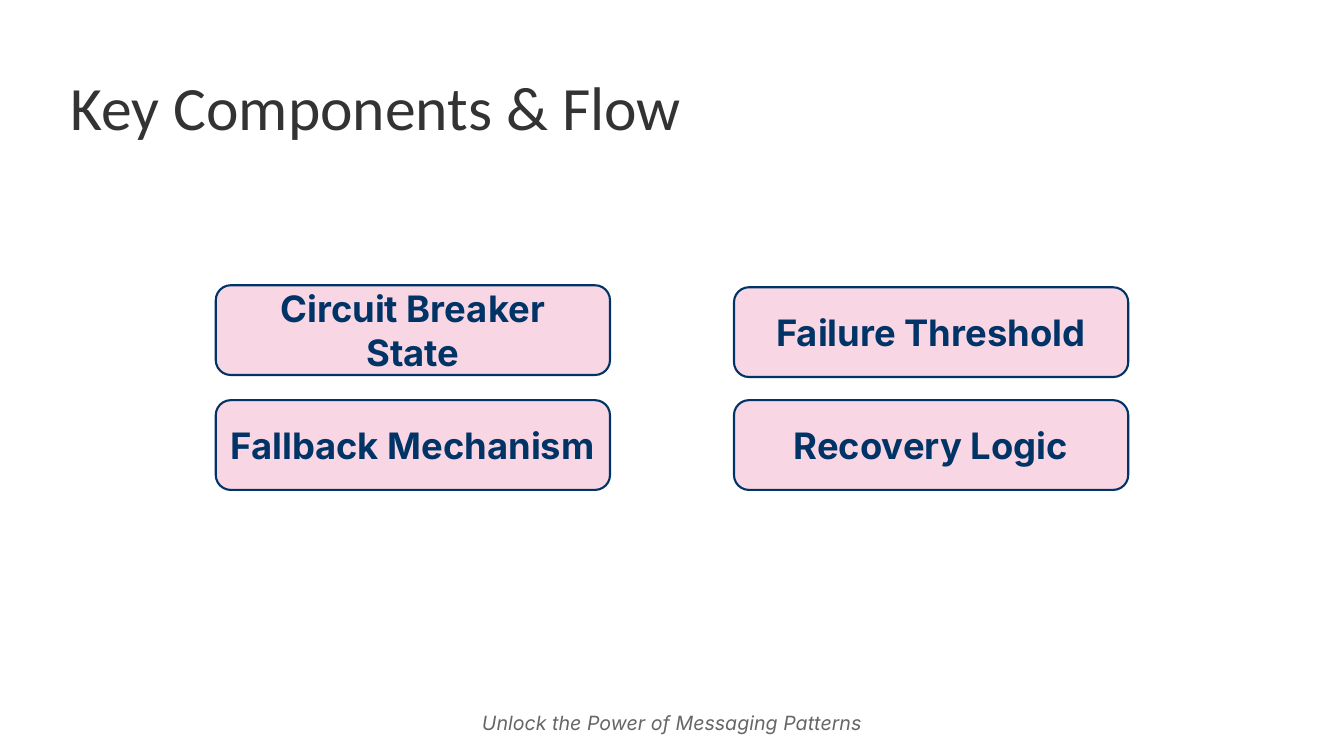
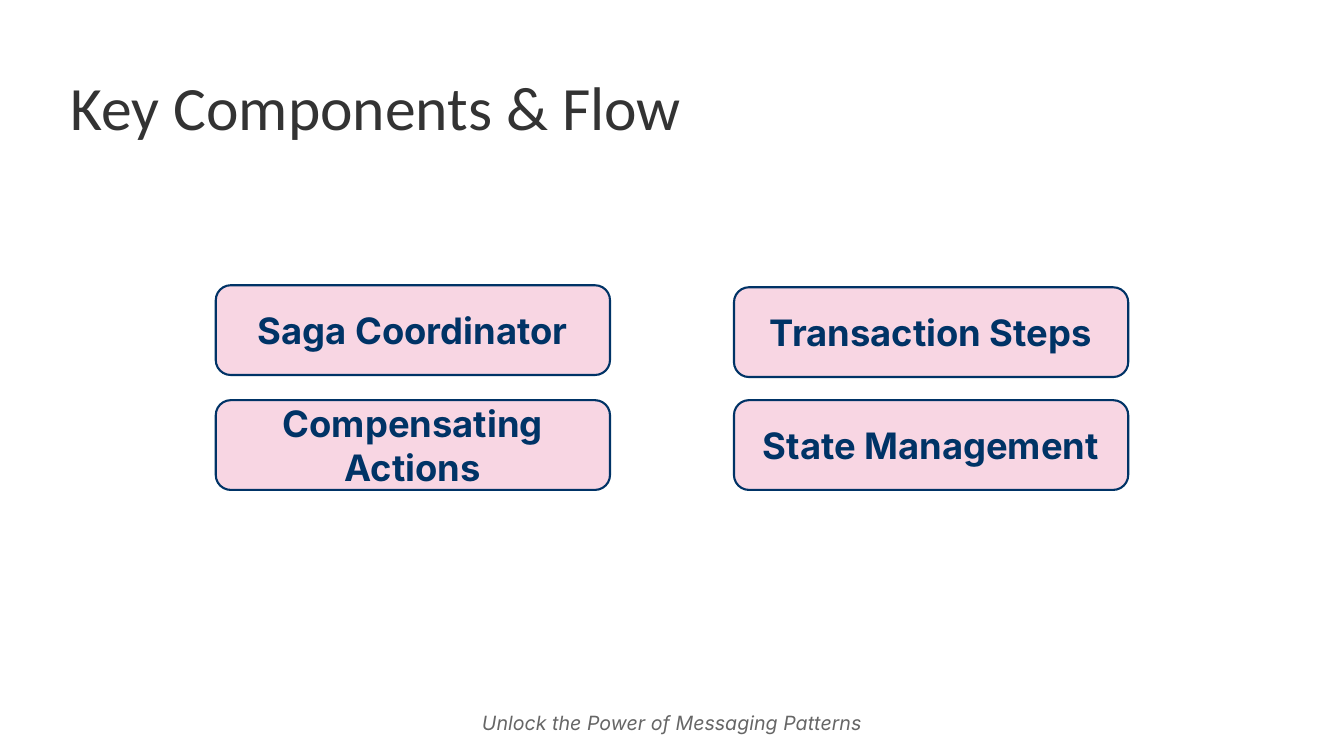
from pptx import Presentation
from pptx.dml.color import RGBColor
from pptx.enum.shapes import MSO_SHAPE as Shape
from pptx.enum.text import MSO_ANCHOR as Anchor, MSO_AUTO_SIZE as AutoSize, PP_ALIGN as Align
from pptx.oxml.ns import qn
from pptx.util import Inches, Pt
from lxml.etree import SubElement

NAVY, PINK, CHARCOAL, GREY = "003366", "DD3377", "333333", "666666"
SLIDE_WIDTH, SLIDE_HEIGHT = 13.33, 7.5
FOOTER = "Unlock the Power of Messaging Patterns"
FOOTER_WIDTH = 4.2
CARD_SPOTS = [(2.14, 2.83), (7.28, 2.85), (2.14, 3.97), (7.28, 3.97)]
CARD_SIZE = (3.91, 0.89)
SLIDES = [
    ("Key Components & Flow",
     ["Circuit Breaker State", "Failure Threshold", "Fallback Mechanism", "Recovery Logic"]),
    ("Key Components & Flow",
     ["Saga Coordinator", "Transaction Steps", "Compensating Actions", "State Management"]),
]


def color(hex_code):
    """Turn a hex string into a colour."""
    return RGBColor.from_string(hex_code)


def write(shape, text, *, size, ink, font="Inter", bold=False, italic=False,
          align=Align.LEFT, anchor=Anchor.MIDDLE, spacing=None):
    """Fill a shape with one formatted paragraph."""
    frame = shape.text_frame
    frame.text = text
    frame.word_wrap = True
    frame.auto_size = AutoSize.NONE
    frame.vertical_anchor = anchor
    paragraph = frame.paragraphs[0]
    paragraph.alignment = align
    paragraph.line_spacing = spacing
    style = paragraph.runs[0].font
    style.name, style.size = font, Pt(size)
    style.bold, style.italic = bold, italic
    style.color.rgb = color(ink)


def place_title(layout):
    """Set the title area that all slides inherit."""
    title = layout.placeholders[0]
    title.left, title.top = Inches(0.6), Inches(0.5)
    title.width, title.height = Inches(12.14), Inches(1.2)


def add_footer(slide, layout):
    """Write the centred one-line footer and hand it over to the shared layout."""
    left = (SLIDE_WIDTH - FOOTER_WIDTH) / 2
    footer = slide.shapes.add_textbox(
        Inches(left), Inches(7), Inches(FOOTER_WIDTH), Inches(0.34))
    write(footer, FOOTER, size=14, ink=GREY, italic=True,
          align=Align.CENTER, anchor=Anchor.TOP)
    footer.element.nvSpPr.cNvPr.set("id", "10")
    layout.shapes.element.append(footer.element)


def add_card(slide, text, spot):
    """Draw a translucent rounded card with a centred label."""
    card = slide.shapes.add_shape(
        Shape.ROUNDED_RECTANGLE, *(Inches(value) for value in spot + CARD_SIZE))
    card.shadow.inherit = False
    card.fill.solid()
    card.fill.fore_color.rgb = color(PINK)
    tint = card.element.spPr.find(qn("a:solidFill")).find(qn("a:srgbClr"))
    SubElement(tint, qn("a:alpha"), val="20000")
    card.line.color.rgb = color(NAVY)
    card.line.width = Pt(1.5)
    write(card, text, size=26, ink=NAVY, bold=True, align=Align.CENTER)


def add_component_slide(deck, layout, title, components):
    """Add a slide with a title and a grid of component cards."""
    slide = deck.slides.add_slide(layout)
    write(slide.shapes.title, title, size=44, ink=CHARCOAL, font="Calibri", spacing=0.9)
    for component, spot in zip(components, CARD_SPOTS):
        add_card(slide, component, spot)
    return slide


def main():
    """Build and save the deck."""
    deck = Presentation()
    deck.slide_width, deck.slide_height = Inches(SLIDE_WIDTH), Inches(SLIDE_HEIGHT)
    layout = deck.slide_layouts.get_by_name("Title Only")
    place_title(layout)
    slides = [add_component_slide(deck, layout, *content) for content in SLIDES]
    add_footer(slides[0], layout)
    deck.save("out.pptx")


if __name__ == "__main__":
    main()
